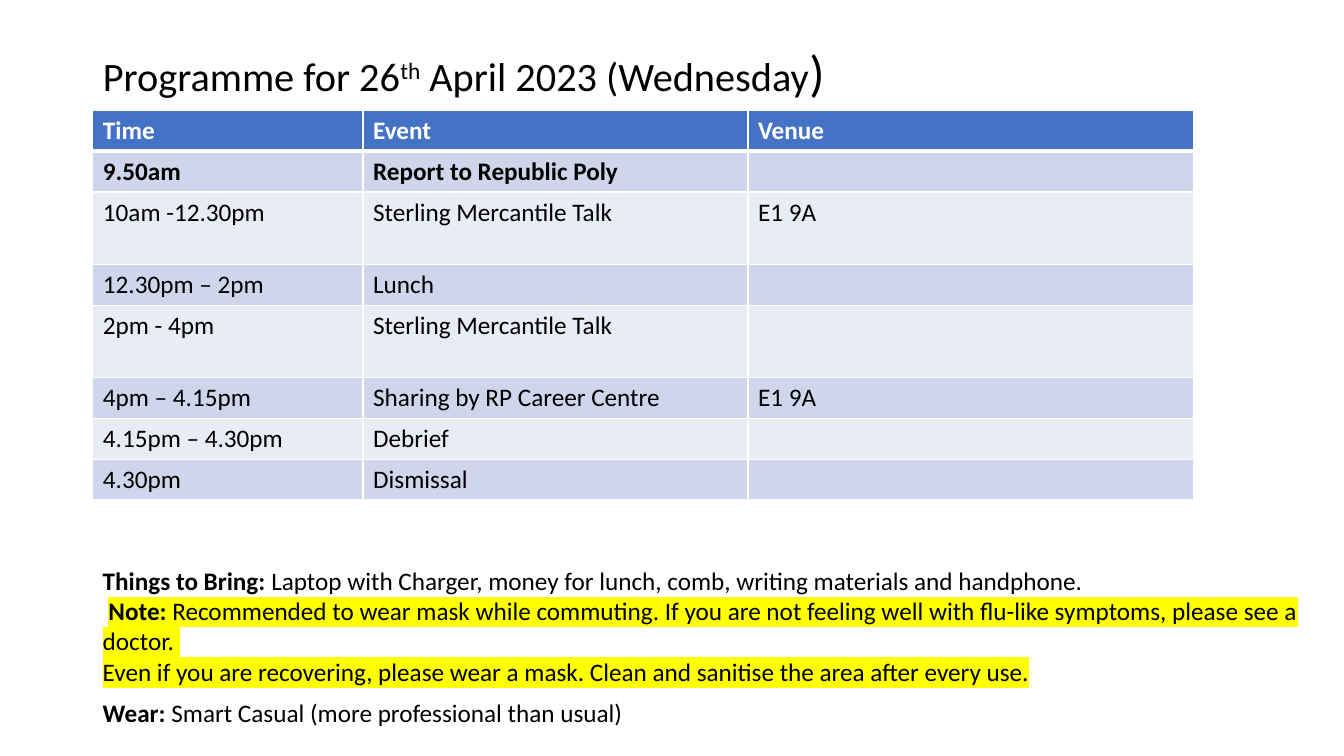
from lxml import etree
from pptx import Presentation
from pptx.dml.color import RGBColor
from pptx.enum.text import MSO_ANCHOR, MSO_AUTO_SIZE, PP_ALIGN
from pptx.oxml.ns import qn
from pptx.util import Cm, Pt

LEFT, MIDDLE = PP_ALIGN.LEFT, MSO_ANCHOR.MIDDLE
NO_FIT = MSO_AUTO_SIZE.NONE

BLACK = RGBColor(0x00, 0x00, 0x00)
WHITE = RGBColor(0xFF, 0xFF, 0xFF)
BLUE = RGBColor(0x44, 0x72, 0xC4)
BANDS = [RGBColor(0xCF, 0xD5, 0xEA), RGBColor(0xE9, 0xEB, 0xF5)]
YELLOW = RGBColor(0xFF, 0xFF, 0x00)
FONT = "Calibri"

# Title runs: text, size, raised
TITLE = [
    ("Programme for 26", 28.8, False),
    ("th", 28.8, True),
    (" April 2023 (Wednesday", 28.8, False),
    (")", 36, False),
]
ROWS = [
    ("Time", "Event", "Venue"),
    ("9.50am", "Report to Republic Poly", ""),
    ("10am -12.30pm", "Sterling Mercantile Talk", "E1 9A"),
    ("12.30pm – 2pm", "Lunch", ""),
    ("2pm - 4pm", "Sterling Mercantile Talk", ""),
    ("4pm – 4.15pm", "Sharing by RP Career Centre", "E1 9A"),
    ("4.15pm – 4.30pm", "Debrief", ""),
    ("4.30pm", "Dismissal", ""),
]
BOLD_ROWS = (0, 1)
TALL_ROWS = (2, 4)
# Note runs: text, bold, highlight
BRING = [
    [
        ("Things to Bring: ", True, None),
        ("Laptop with Charger, money for lunch, comb, writing materials "
         "and handphone.", False, None),
    ],
    [
        (" ", False, None),
        ("Note: ", True, YELLOW),
        ("Recommended to wear mask while commuting. If you are not feeling "
         "well with flu-like symptoms, please see a doctor. \n"
         "Even if you are recovering, please wear a mask. Clean and sanitise "
         "the area after every use.", False, YELLOW),
    ],
]
WEAR = [[
    ("Wear: ", True, None),
    ("Smart Casual (more professional than usual)", False, None),
]]

EDGE = Cm(2.34)
COLS = [Cm(6.81), Cm(9.7), Cm(11.23)]
LOW, TALL = Cm(1.02), Cm(1.82)


def add_run(para, text, size=18, bold=False, color=BLACK, mark=None):
    """Add text to a paragraph, breaking lines at each newline."""
    for i, line in enumerate(text.split("\n")):
        if i:
            para.add_line_break()
        run = para.add_run()
        run.text = line
        font = run.font
        font.size, font.bold, font.name = Pt(size), bold, FONT
        font.color.rgb = color
        if mark is not None:
            light = etree.Element(qn("a:highlight"))
            etree.SubElement(light, qn("a:srgbClr"), val=str(mark))
            run._r.rPr.find(qn("a:latin")).addprevious(light)
    return run


def add_border(cell, side, width):
    props = cell._tc.get_or_add_tcPr()
    line = etree.SubElement(props, qn("a:ln" + side), w=str(Pt(width)))
    fill = etree.SubElement(line, qn("a:solidFill"))
    etree.SubElement(fill, qn("a:srgbClr"), val=str(WHITE))


def add_title(slide):
    title = slide.shapes.title
    title.left, title.top = EDGE, Cm(1.02)
    title.width, title.height = Cm(28.4), Cm(1.75)
    frame = title.text_frame
    frame.auto_size, frame.vertical_anchor = NO_FIT, MIDDLE
    para = frame.paragraphs[0]
    para.alignment, para.line_spacing = LEFT, 0.9
    for text, size, raised in TITLE:
        run = add_run(para, text, size)
        if raised:
            run._r.rPr.set("baseline", "30000")


def add_plan(slide):
    """Add the timetable."""
    highs = [TALL if r in TALL_ROWS else LOW for r in range(len(ROWS))]
    table = slide.shapes.add_table(
        len(ROWS), len(COLS), EDGE, Cm(2.78), sum(COLS), sum(highs)).table
    for col, width in zip(table.columns, COLS):
        col.width = width
    for r, texts in enumerate(ROWS):
        table.rows[r].height = highs[r]
        for c, text in enumerate(texts):
            cell = table.cell(r, c)
            for side in "LRTB":
                thick = (r, side) in ((0, "B"), (1, "T"))
                add_border(cell, side, 3 if thick else 1)
            cell.fill.solid()
            cell.fill.fore_color.rgb = BANDS[(r - 1) % 2] if r else BLUE
            para = cell.text_frame.paragraphs[0]
            if text:
                add_run(para, text, bold=r in BOLD_ROWS,
                        color=BLACK if r else WHITE)
            else:
                para.font.size = Pt(18)


def add_note(slide, paras, top, width, height):
    frame = slide.shapes.add_textbox(EDGE, top, width, height).text_frame
    frame.word_wrap = True
    for i, runs in enumerate(paras):
        para = frame.add_paragraph() if i else frame.paragraphs[0]
        for text, bold, mark in runs:
            add_run(para, text, bold=bold, mark=mark)


def main():
    deck = Presentation()
    deck.slide_width, deck.slide_height = Cm(33.87), Cm(19.05)
    slide = deck.slides.add_slide(deck.slide_layouts[5])
    add_title(slide)
    add_plan(slide)
    add_note(slide, BRING, Cm(14.12), Cm(30.66), Cm(3.33))
    add_note(slide, WEAR, Cm(17.45), Cm(16.89), Cm(1.02))
    deck.save("out.pptx")


if __name__ == "__main__":
    main()
